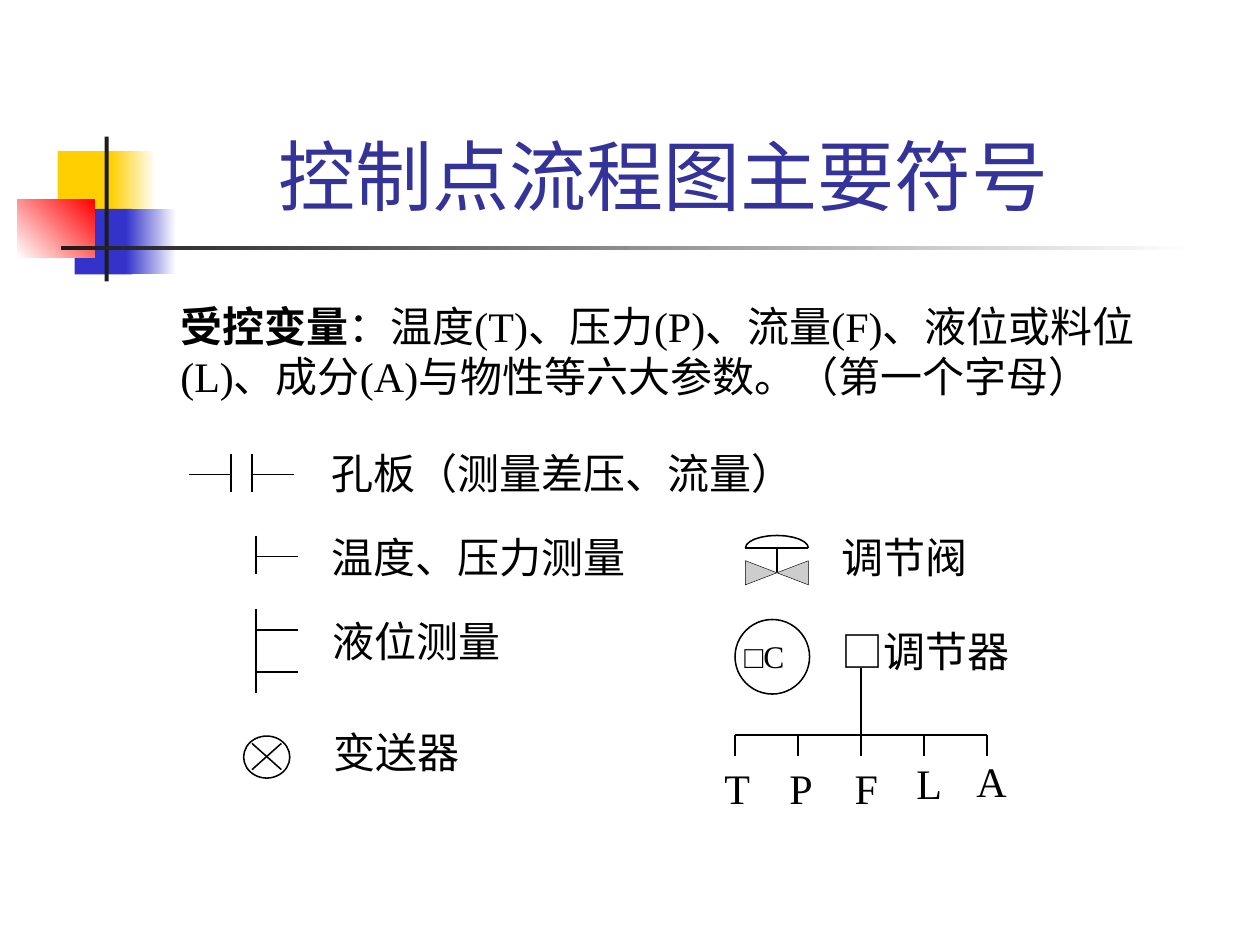
from math import cos, pi, sin

from lxml.etree import SubElement
from pptx import Presentation
from pptx.dml.color import RGBColor
from pptx.enum.shapes import MSO_CONNECTOR, MSO_SHAPE
from pptx.enum.text import MSO_ANCHOR, MSO_AUTO_SIZE, PP_ALIGN
from pptx.oxml.ns import qn
from pptx.util import Inches, Pt

COLORS = {
    "yellow": "FFCF01", "blue": "3333CC", "red": "FF0000", "dark": "1C1C1C",
    "white": "FFFFFF", "black": "000000", "title": "333399", "gray": "CDCDCD",
}
COLUMNS, ROWS = 120, 90


def color(name):
    return RGBColor.from_string(COLORS[name])


def write_text(paragraph, text, size=24, font="Times New Roman", fill="black",
               bold=False, align=PP_ALIGN.LEFT):
    paragraph.alignment = align
    run = paragraph.add_run()
    run.text = text
    run.font.size = Pt(size)
    run.font.name = font
    run.font.bold = bold
    run.font.color.rgb = color(fill)


class SymbolSlide:
    line_width = 0.88

    def __init__(self, presentation):
        self.slide = presentation.slides.add_slide(presentation.slide_layouts[5])
        self.shapes = self.slide.shapes
        self.column = presentation.slide_width / COLUMNS
        self.row = presentation.slide_height / ROWS

    def point(self, x, y):
        return round(x * self.column), round(y * self.row)

    def box(self, left, top, width, height):
        return *self.point(left, top), *self.point(width, height)

    def title(self, text, *box):
        shape = self.shapes.title
        shape.left, shape.top, shape.width, shape.height = self.box(*box)
        frame = shape.text_frame
        frame.auto_size = MSO_AUTO_SIZE.NONE
        frame.vertical_anchor = MSO_ANCHOR.BOTTOM
        write_text(frame.paragraphs[0], text, size=44, font="Cabin",
                   fill="title", align=PP_ALIGN.CENTER)

    def text(self, text, *box, lead="", inset=True, **style):
        frame = self.shapes.add_textbox(*self.box(*box)).text_frame
        frame.word_wrap = True
        if not inset:
            frame.margin_left = frame.margin_right = 0
            frame.margin_top = frame.margin_bottom = 0
        if lead:
            write_text(frame.paragraphs[0], lead, bold=True, **style)
        write_text(frame.paragraphs[0], text, **style)

    def outline(self, shape, fill=None, width=line_width):
        shape.shadow.inherit = False
        if fill:
            shape.fill.solid()
            shape.fill.fore_color.rgb = color(fill)
        else:
            shape.fill.background()
        shape.line.color.rgb = color("black")
        shape.line.width = Pt(width)

    def block(self, *box, start, end=None, angle=0):
        shape = self.shapes.add_shape(MSO_SHAPE.RECTANGLE, *self.box(*box))
        shape.shadow.inherit = False
        shape.line.fill.background()
        if end is None:
            shape.fill.solid()
            shape.fill.fore_color.rgb = color(start)
            return
        shape.fill.gradient()
        shape.fill.gradient_angle = angle
        for stop, name in zip(shape.fill.gradient_stops, (start, end)):
            stop.color.rgb = color(name)

    def circle(self, *box):
        self.outline(self.shapes.add_shape(MSO_SHAPE.OVAL, *self.box(*box)), "white")

    def polygon(self, points, close=True, **style):
        corners = [self.point(*point) for point in points]
        builder = self.shapes.build_freeform(*corners[0])
        builder.add_line_segments(corners[1:], close=close)
        self.outline(builder.convert_to_shape(), **style)

    def line(self, x1, y1, x2, y2):
        connector = self.shapes.add_connector(
            MSO_CONNECTOR.STRAIGHT, *self.point(x1, y1), *self.point(x2, y2))
        connector.line.color.rgb = color("black")
        connector.line.width = Pt(self.line_width)
        SubElement(connector._element.spPr, qn("a:effectLst"))

    def lines(self, *segments):
        for segment in segments:
            self.line(*segment)


presentation = Presentation()
presentation.slide_width, presentation.slide_height = Inches(10), Inches(7.5)
page = SymbolSlide(presentation)

page.block(5.5, 14.4, 5.8, 6.24, start="yellow")
page.block(10.56, 14.4, 4.3, 6.24, start="yellow", end="white")
page.block(7.1, 19.9, 5.5, 6.24, start="blue")
page.block(12, 19.9, 4.8, 6.24, start="blue", end="white")
page.block(1.65, 19, 7.35, 5.5, start="white", end="red", angle=45)
page.block(9.96, 13, 0.4, 13.8, start="dark")
page.block(5.8, 23.4, 108, 0.4, start="dark", end="white")

page.title("控制点流程图主要符号", 15.1, 11.64, 96.24, 10)
page.text("：温度(T)、压力(P)、流量(F)、液位或料位(L)、成分(A)与物性等六大参数。（第一个字母）",
          16, 28, 97.2, 10.8, lead="受控变量")

page.circle(70, 59, 7.1, 7.1)
page.text("□C", 70.9, 60.7, 7.2, 3.6, size=18, inset=False)

page.circle(23.2, 70.1, 4.4, 4)
page.lines((26.8, 70.8, 24, 73.3), (24, 70.8, 26.8, 73.3))

page.polygon([(77, 55.7), (77, 53.4), (71, 55.7), (71, 53.4)],
             fill="gray", width=0.26)
page.lines((74, 54.5, 74, 52.2), (71, 52.2, 77, 52.2))
dome = [(74 - 3 * cos(pi * step / 12), 52.2 - 1.2 * sin(pi * step / 12))
        for step in range(13)]
page.polygon(dome, close=False)

for plate, end in ((22, 18), (24, 28)):
    page.lines((plate, 43.2, plate, 46.9), (plate, 45.2, end, 45.2))

for top, bottom, taps in ((51, 54.7, [53]), (58, 66, [60, 64])):
    page.line(24.4, top, 24.4, bottom)
    for tap in taps:
        page.line(24.4, tap, 28.4, tap)

for label, left, top, width in (
    ("孔板（测量差压、流量）", 30.4, 42, 55),
    ("温度、压力测量", 30.4, 50, 33),
    ("液位测量", 30.5, 58, 33),
    ("变送器", 30.6, 68.6, 17.8),
    ("调节阀", 79, 50, 15),
    ("□调节器", 79, 59, 23),
):
    page.text(label, left, top, width, 6)

page.lines((82, 63.6, 82, 70), (70, 70, 94, 70))
letters = (("T", 67.7, 72), ("P", 73.8, 72), ("F", 80, 72), ("L", 86, 71.6), ("A", 91.8, 71.4))
for index, (letter, left, top) in enumerate(letters):
    branch = 70 + 6 * index
    page.line(branch, 70, branch, 72)
    page.text(letter, left, top, 5, 6, align=PP_ALIGN.CENTER)

presentation.save("out.pptx")
